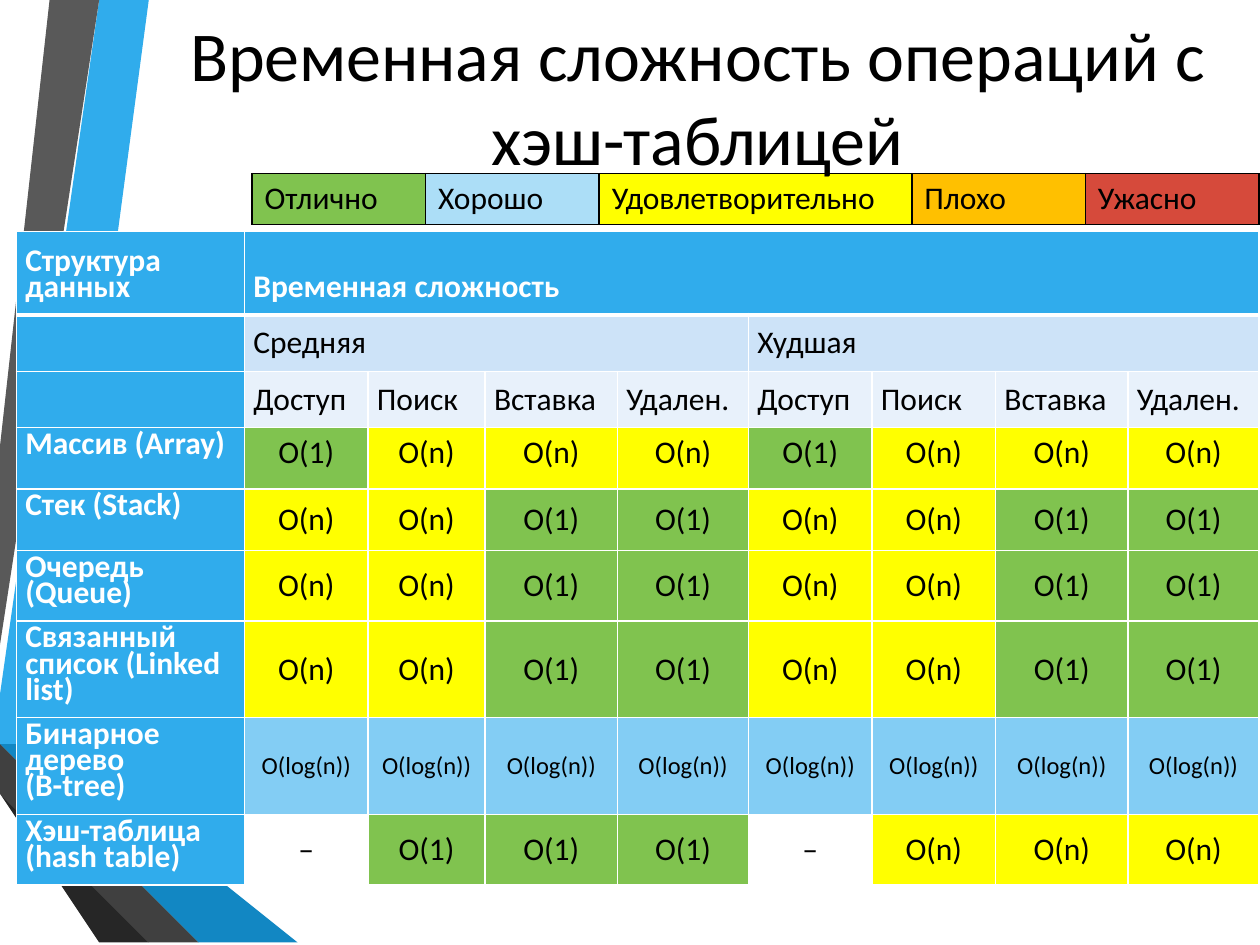
"""Build a slide on the time complexity of data structure operations."""
import pptx
import pptx.util
import pptx.dml.color
import pptx.enum.text
import pptx.oxml
import pptx.oxml.ns

Cm, Pt, RGB = pptx.util.Cm, pptx.util.Pt, pptx.dml.color.RGBColor
ALIGN, ANCHOR = pptx.enum.text.PP_ALIGN, pptx.enum.text.MSO_ANCHOR

BLACK, WHITE = RGB(0, 0, 0), RGB(255, 255, 255)
BLUE = RGB(0x30, 0xAC, 0xEC)
PALE, PALER = RGB(0xCD, 0xE3, 0xF8), RGB(0xE8, 0xF1, 0xFB)
GREEN, YELLOW = RGB(0x80, 0xC3, 0x4F), RGB(0xFF, 0xFF, 0)
SKY, LIGHT = RGB(0x83, 0xCD, 0xF4), RGB(0xAC, 0xDE, 0xF7)
AMBER, RED = RGB(0xFF, 0xC0, 0), RGB(0xD6, 0x4A, 0x3B)
FONT = "Calibri"

TITLE = "Временная сложность операций с хэш-таблицей"
LEGEND = [("Отлично", GREEN, 3.5), ("Хорошо", LIGHT, 3.5),
          ("Удовлетворительно", YELLOW, 6.3), ("Плохо", AMBER, 3.5),
          ("Ужасно", RED, 3.5)]
GRADES = {"O(1)": GREEN, "O(n)": YELLOW, "O(log(n))": SKY, "–": WHITE}
ACTIONS = ["Доступ", "Поиск", "Вставка", "Удален."]
LINEAR = ["O(n)", "O(n)", "O(1)", "O(1)"] * 2
COSTS = [
    ("Массив (Array)", ["O(1)", "O(n)", "O(n)", "O(n)"] * 2),
    ("Стек (Stack)", LINEAR),
    ("Очередь (Queue)", LINEAR),
    ("Связанный список (Linked list)", LINEAR),
    ("Бинарное дерево\n(B-tree)", ["O(log(n))"] * 8),
    ("Хэш-таблица\n(hash table)", ["–"] + ["O(1)"] * 3 + ["–"] + ["O(n)"] * 3),
]
WIDTHS = [4.6, 2.49, 2.36, 2.67, 2.64, 2.49, 2.49, 2.67, 2.64]
HEIGHTS = [1.68, 1.12, 1.12, 1.24, 1.24, 1.41, 1.93, 1.93, 1.41]
RIBBONS = [
    (BLUE, [(0, 13.82), (0, 14.6), (0.56, 14.71), (2.97, 0), (2.26, 0)]),
    (RGB(0x59, 0x59, 0x59), [(2.11, 0), (1.4, 0), (0, 8.53), (0, 12.85)]),
    (RGB(0x26, 0x26, 0x26), [(0, 15.72), (0, 15.77), (2.36, 19.05), (2.51, 19.05)]),
    (RGB(0x0C, 0x5A, 0x82), [(0, 14.71), (0, 14.73), (3.96, 19.05), (4.14, 19.05)]),
    (RGB(0x12, 0x87, 0xC3), [(0, 14.71), (4.14, 19.05), (5.92, 19.05),
                             (0.56, 14.71), (0, 14.6)]),
    (RGB(0x40, 0x40, 0x40), [(0, 15.72), (2.51, 19.05), (3.84, 19.05), (0, 14.88)]),
]


def draw_ribbon(slide, color, points):
    pen = slide.shapes.build_freeform(*points[0], scale=Cm(1))
    pen.add_line_segments(points[1:], close=True)
    shape = pen.convert_to_shape()
    shape.fill.solid()
    shape.fill.fore_color.rgb = color
    shape.line.fill.background()
    shape.shadow.inherit = False


def add_grid(slide, left, top, widths, heights):
    frame = slide.shapes.add_table(len(heights), len(widths), Cm(left), Cm(top),
                                   Cm(sum(widths)), Cm(sum(heights)))
    grid = frame.table
    for col, width in zip(grid.columns, widths):
        col.width = Cm(width)
    for row, height in zip(grid.rows, heights):
        row.height = Cm(height)
    return grid


def set_edges(cell, color, base=1):
    props = cell._tc.get_or_add_tcPr()
    for spot, side in enumerate("LRTB"):
        width = Pt(base if side == "B" else 1)
        edge = pptx.oxml.parse_xml(
            f'<a:ln{side} {pptx.oxml.ns.nsdecls("a")} w="{width}"><a:solidFill>'
            f'<a:srgbClr val="{color}"/></a:solidFill></a:ln{side}>')
        props.insert(spot, edge)


def fill_cell(cell, text, fill, edge=WHITE, base=1, color=BLACK, bold=False, size=18,
              anchor=ANCHOR.TOP, align=ALIGN.LEFT, pad=None, spacing=None):
    cell.text = text
    cell.fill.solid()
    cell.fill.fore_color.rgb = fill
    cell.vertical_anchor = anchor
    if pad:
        cell.margin_left = cell.margin_right = Cm(pad)
        cell.margin_top = cell.margin_bottom = Cm(pad)
    for par in cell.text_frame.paragraphs:
        par.alignment = align
        par.line_spacing = spacing
        par.font.name, par.font.size = FONT, Pt(size)
        par.font.bold, par.font.color.rgb = bold, color
    set_edges(cell, edge, base)


def fill_costs(grid):
    tight = dict(pad=0.18, spacing=Pt(15))
    low = dict(tight, anchor=ANCHOR.BOTTOM)
    head = dict(color=WHITE, bold=True)
    tops = [
        (["Структура\nданных", "Временная сложность"] + [""] * 7, BLUE, dict(head, base=3)),
        (["", "Средняя", "", "", "", "Худшая", "", "", ""], PALE, {}),
        ([""] + ACTIONS * 2, PALER, {}),
    ]
    for row, (texts, fill, extra) in enumerate(tops):
        for col, text in enumerate(texts):
            fill_cell(grid.cell(row, col), text, fill if col else BLUE, **low, **extra)
    for row, (name, costs) in enumerate(COSTS, len(tops)):
        fill_cell(grid.cell(row, 0), name, BLUE, **head, **tight)
        room = tight if row == len(tops) else dict(pad=0.2)
        for col, cost in enumerate(costs, 1):
            fill_cell(grid.cell(row, col), cost, GRADES[cost], anchor=ANCHOR.MIDDLE,
                      align=ALIGN.CENTER, size=14 if "log" in cost else 18, **room)
    for row, first, last in [(0, 1, 8), (1, 1, 4), (1, 5, 8)]:
        grid.cell(row, first).merge(grid.cell(row, last))


def set_title(slide):
    title = slide.shapes.title
    title.left, title.top, title.width, title.height = Cm(2.72), Cm(0), Cm(22.68), Cm(3.84)
    frame = title.text_frame
    frame.text = TITLE
    frame.word_wrap = True
    frame.auto_size = pptx.enum.text.MSO_AUTO_SIZE.NONE
    frame.vertical_anchor = ANCHOR.MIDDLE
    par = frame.paragraphs[0]
    par.alignment = ALIGN.CENTER
    par.font.name, par.font.size, par.font.color.rgb = FONT, Pt(40), BLACK
    slide.shapes.element.append(title.element)


def main():
    deck = pptx.Presentation()
    deck.slide_width, deck.slide_height = Cm(25.4), Cm(19.05)
    slide = deck.slides.add_slide(deck.slide_layouts.get_by_name("Title Only"))
    for color, points in RIBBONS:
        draw_ribbon(slide, color, points)
    fill_costs(add_grid(slide, 0.33, 4.67, WIDTHS, HEIGHTS))
    scale = add_grid(slide, 5.08, 3.5, [width for _, _, width in LEGEND], [1.03])
    for col, (text, fill, _) in enumerate(LEGEND):
        fill_cell(scale.cell(0, col), text, fill, edge=BLACK)
    set_title(slide)
    deck.save("out.pptx")


main()
